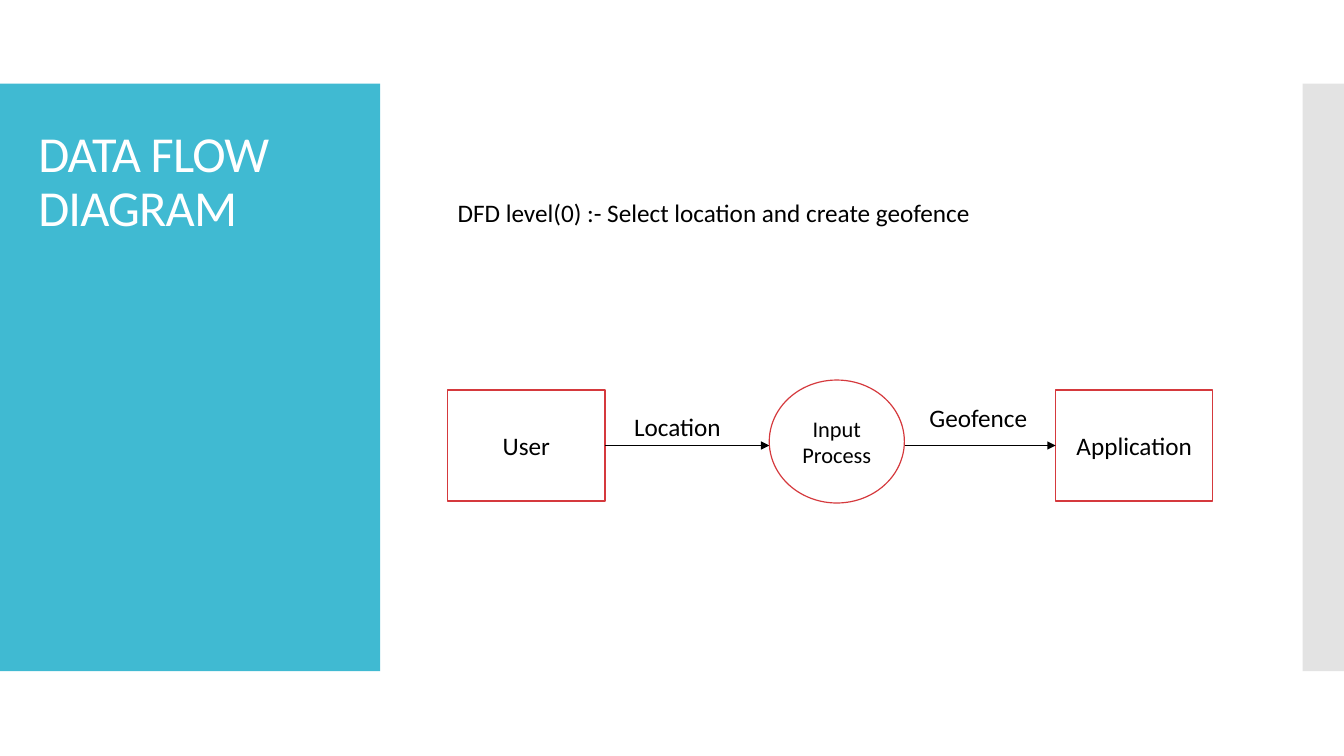
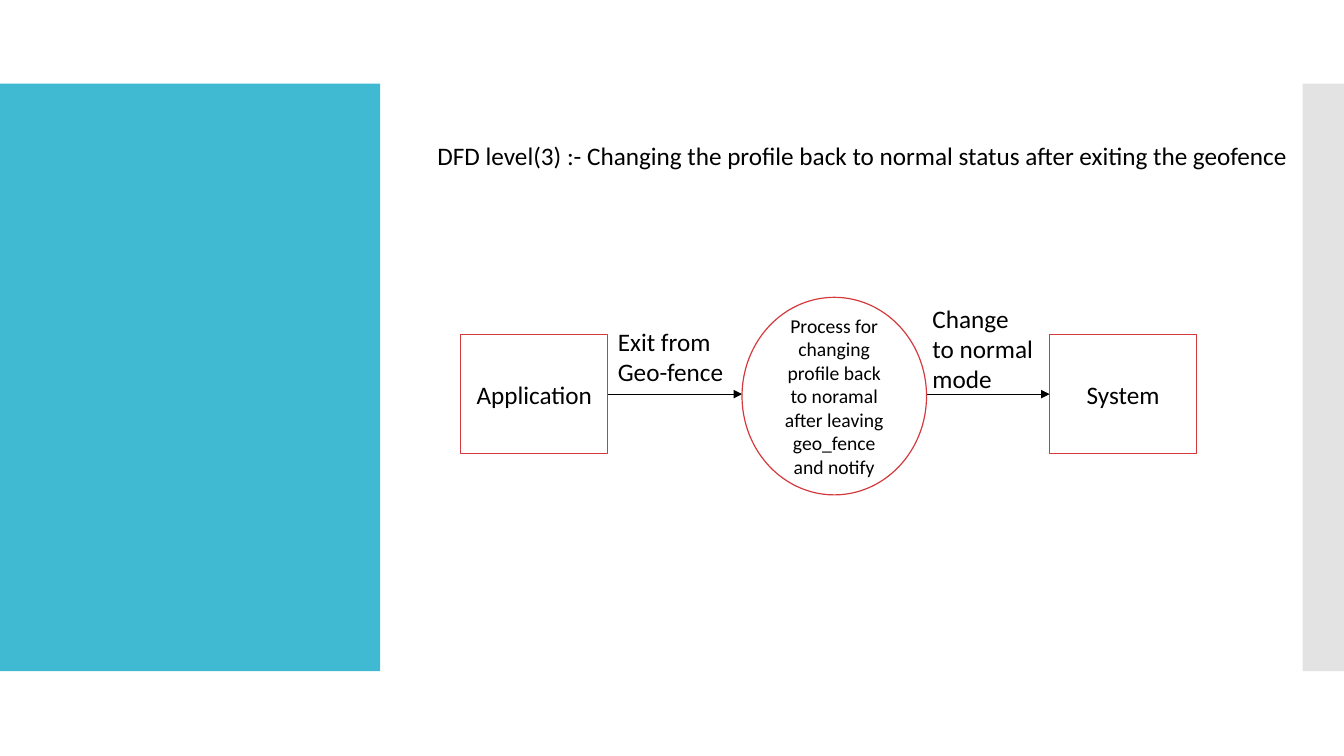
from lxml.etree import SubElement
from pptx import Presentation
from pptx.dml.color import RGBColor
from pptx.enum.shapes import MSO_CONNECTOR, MSO_SHAPE
from pptx.enum.text import MSO_ANCHOR, MSO_AUTO_SIZE, PP_ALIGN
from pptx.oxml.ns import qn
from pptx.util import Inches, Pt

TEAL = RGBColor(0x40, 0xBA, 0xD2)
GREY = RGBColor(0xC8, 0xC8, 0xC8)
RED = RGBColor(0xD5, 0x39, 0x3D)
BLACK = RGBColor(0, 0, 0)
WHITE = RGBColor(0xFF, 0xFF, 0xFF)

# Shared text formats
FRAME = {"word_wrap": True, "auto_size": MSO_AUTO_SIZE.NONE}
LABEL = {"vertical_anchor": MSO_ANCHOR.TOP}
NODE = {"vertical_anchor": MSO_ANCHOR.MIDDLE}
FONT = {"name": "Calibri"}


def apply(item, look):
    for key, value in look.items():
        setattr(item, key, value)


def place(box):
    return [Inches(n) for n in box]


def write(shape, text, size, look, align=PP_ALIGN.LEFT, ink=BLACK):
    frame = shape.text_frame
    apply(frame, {**FRAME, **look})
    frame.text = text
    para = frame.paragraphs[0]
    para.alignment = align
    run = para.runs[0]
    apply(run.font, {**FONT, "size": Pt(size)})
    run.font.color.rgb = ink
    return para, run


def solid(page, kind, box, fill):
    shape = page.shapes.add_shape(kind, *place(box))
    shape.shadow.inherit = False
    shape.fill.solid()
    shape.fill.fore_color.rgb = fill
    shape.line.fill.background()
    return shape


def bands(deck, page):
    """Draw both side bands and hand them to the master."""
    left = solid(page, MSO_SHAPE.RECTANGLE, (0, 0.83, 3.77, 5.83), TEAL)
    right = solid(page, MSO_SHAPE.RECTANGLE, (12.92, 0.83, 0.41, 5.83), GREY)
    tint = right.element.spPr.find(".//" + qn("a:srgbClr"))
    SubElement(tint, qn("a:alpha"), val="50000")
    tree = deck.slide_master.shapes.element
    for spot, band in enumerate((left, right), 2):
        tree.insert(spot, band.element)


def title(page, text, box):
    head = page.shapes.title
    head.left, head.top, head.width, head.height = place(box)
    para, run = write(head, text, 36, LABEL, ink=WHITE)
    para.line_spacing = 0.9
    run.font.element.set("spc", "-60") if hasattr(run.font, "element") else \
        para.runs[0].font._element.set("spc", "-60")


def label(page, text, box):
    write(page.shapes.add_textbox(*place(box)), text, 18, LABEL)


def node(page, kind, text, box, size=18):
    shape = solid(page, kind, box, WHITE)
    shape.line.color.rgb = RED
    shape.line.width = Pt(0.85)
    write(shape, text, size, NODE, PP_ALIGN.CENTER)
    return shape


def arrow(page, start, end, y):
    line = page.shapes.add_connector(
        MSO_CONNECTOR.STRAIGHT, *place((start, y, end, y)))
    line.line.color.rgb = BLACK
    line.line.width = Pt(0.75)
    props = line.element.spPr
    SubElement(props.find(qn("a:ln")), qn("a:tailEnd"), type="triangle")
    SubElement(props, qn("a:effectLst"))
    return line


def flow(page, box, kinds, ends, side, hub, notes):
    """Two end blocks around a hub; all offsets count from the box."""
    x, y, w, h = box
    wide, tall, drop = side
    text, size, shift, span = hub
    block, round_ = kinds
    far, mid = x + w - wide, y + drop + tall / 2
    first, last = [node(page, block, name, (at, y + drop, wide, tall))
                   for name, at in zip(ends, (x, far))]
    # Arrows
    arrow(page, x + wide, x + shift, mid).begin_connect(first, 3)
    arrow(page, x + shift + span, far, mid).end_connect(last, 1)
    # Arrow labels
    for note, dx, dy, *area in notes:
        label(page, note, (x + dx, y + dy, *area))
    node(page, round_, text, (x + shift, y, span, h), size)


def main():
    deck = Presentation()
    deck.slide_width, deck.slide_height = Inches(13.33), Inches(7.5)

    # Level 0
    page = deck.slides.add_slide(deck.slide_layouts[5])
    bands(deck, page)
    title(page, "DATA FLOW DIAGRAM", (0.28, 1.23, 3.22, 5.03))
    flow(page, (4.44, 3.77, 7.59, 1.22),
         (MSO_SHAPE.FLOWCHART_PROCESS, MSO_SHAPE.FLOWCHART_CONNECTOR),
         ("User", "Application"), (1.56, 1.1, 0.1),
         ("Input Process", 16, 3.19, 1.34),
         (("Location", 1.75, 0.26, 1.13, 0.4),
          ("Geofence", 4.68, 0.17, 1.21, 0.4)))
    label(page, "DFD level(0) :- Select location and create geofence",
          (4.44, 1.91, 7.07, 0.4))

    # Level 3
    page = deck.slides.add_slide(deck.slide_layouts[6])
    flow(page, (4.57, 2.95, 7.3, 1.96),
         (MSO_SHAPE.RECTANGLE, MSO_SHAPE.OVAL),
         ("Application", "System"), (1.46, 1.18, 0.37),
         ("Process for changing profile back to noramal after leaving "
          "geo_fence and notify", 14, 2.79, 1.83),
         (("Exit from Geo-fence", 1.46, 0.24, 1.54, 0.71),
          ("Change to normal mode", 4.58, 0.01, 1.22, 1.01)))
    label(page, "DFD level(3) :- Changing the profile back to normal status "
          "after exiting the geofence", (4.24, 1.34, 8.81, 0.4))

    deck.save("out.pptx")


if __name__ == "__main__":
    main()
